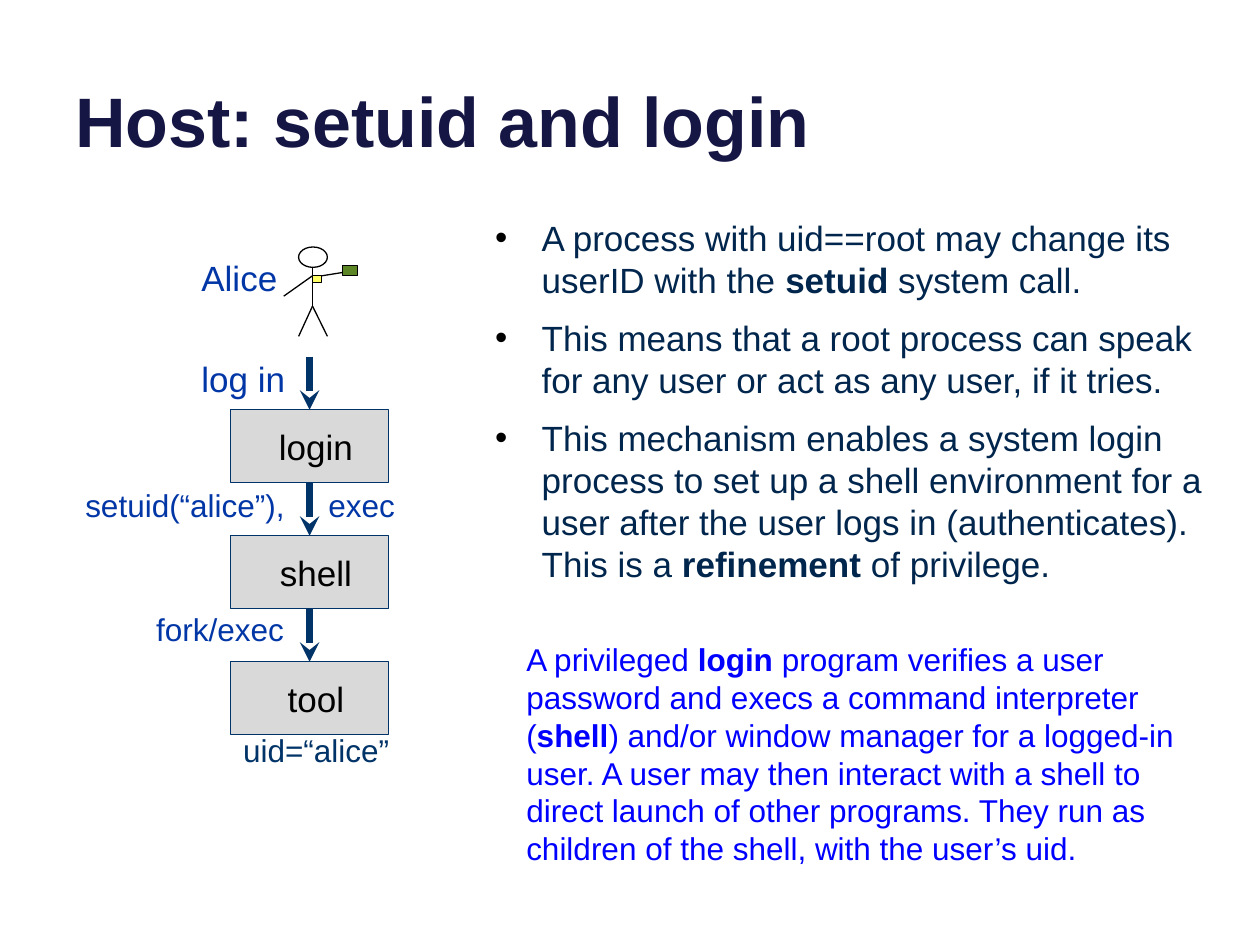
"""Build the slide on host setuid and login."""
from lxml.etree import SubElement
from pptx import Presentation
from pptx.dml.color import RGBColor
from pptx.enum.shapes import MSO_CONNECTOR, MSO_SHAPE
from pptx.enum.text import MSO_ANCHOR, PP_ALIGN
from pptx.oxml.ns import qn
from pptx.util import Cm, Pt

FONT = "Arial"
NAVY, BLUE, BLACK = "003367", "0036A6", "000000"
TITLE = "Host: setuid and login"
POINTS = [
    "A process with uid==root may change its userID with the *setuid* system call.",
    "This means that a root process can speak for any user or act as any user, if it tries.",
    "This mechanism enables a system login process to set up a shell environment for a "
    "user after the user logs in (authenticates). This is a *refinement* of privilege.",
]
NOTE = (
    "A privileged *login* program verifies a user password and execs a command interpreter "
    "(*shell*) and/or window manager for a logged-in user. A user may then interact with a "
    "shell to direct launch of other programs. They run as children of the shell, with the "
    "user’s uid."
)
STEPS = ["login", "shell", "tool"]
LABELS = [
    ("Alice", 3.81, 5.18, 2.34, 20, BLUE),
    ("log in", 3.81, 7.21, 2.34, 20, BLUE),
    ("setuid(“alice”),", 1.47, 9.8, 4.9, 18, BLUE),
    ("exec", 6.37, 9.8, 2.4, 18, BLUE),
    ("fork/exec", 2.9, 12.29, 3.18, 18, BLUE),
    ("uid=“alice”", 4.65, 14.73, 4.65, 18, NAVY),
]
LIMBS = [
    (6.3, 5.38, 6.3, 6.17),
    (6.02, 6.78, 6.3, 6.17),
    (6.6, 6.78, 6.3, 6.17),
    (7.11, 5.46, 6.3, 5.59),
    (5.72, 5.97, 6.3, 5.56),
]
PARTS = [
    (MSO_SHAPE.OVAL, 6.02, 4.98, 0.58, 0.41, None),
    (MSO_SHAPE.RECTANGLE, 6.91, 5.36, 0.3, 0.2, "5C8526"),
    (MSO_SHAPE.RECTANGLE, 6.3, 5.56, 0.18, 0.13, "FFFF66"),
]
LEFT, TOP, WIDE, HIGH, PITCH = 4.65, 8.26, 3.18, 1.47, 2.54
RISE = PITCH - HIGH


def tint(code):
    return RGBColor.from_string(code)


def style(font, size, color):
    font.name, font.size, font.color.rgb = FONT, Pt(size), tint(color)


def write(slide, items, place, size, color):
    box = slide.shapes.add_textbox(*map(Cm, place))
    frame = box.text_frame
    frame.word_wrap = True
    for i, item in enumerate(items):
        para = frame.paragraphs[0] if i == 0 else frame.add_paragraph()
        for j, part in enumerate(item.split("*")):
            run = para.add_run()
            run.text = part
            style(run.font, size, color)
            run.font.bold = j % 2 == 1
    return frame


def dot(para):
    props = para._p.get_or_add_pPr()
    props.set("marL", str(Cm(0.94)))
    props.set("indent", str(-Cm(0.94)))
    hue = SubElement(props, qn("a:buClr"))
    SubElement(hue, qn("a:srgbClr"), val=BLACK)
    SubElement(props, qn("a:buFont"), typeface=FONT)
    SubElement(props, qn("a:buChar"), char="•")


def shape(shapes, kind, place, fill, edge):
    item = shapes.add_shape(kind, *map(Cm, place))
    item.shadow.inherit = False
    if fill:
        item.fill.solid()
        item.fill.fore_color.rgb = tint(fill)
    else:
        item.fill.background()
    item.line.color.rgb = tint(edge)
    item.line.width = Pt(0.75)
    return item


def link(shapes, ends, color, width):
    line = shapes.add_connector(MSO_CONNECTOR.STRAIGHT, *map(Cm, ends))
    line.line.color.rgb = tint(color)
    line.line.width = Pt(width)
    SubElement(line._element.spPr, qn("a:effectLst"))
    return line


def draw_flow(slide):
    last = None
    mid = LEFT + WIDE / 2
    for i, name in enumerate(STEPS):
        top = TOP + i * PITCH
        place = LEFT, top, WIDE, HIGH
        box = shape(slide.shapes, MSO_SHAPE.RECTANGLE, place, "D9D9D9", NAVY)
        frame = box.text_frame
        frame.text = name
        frame.margin_left = Cm(0.51)
        frame.vertical_anchor = MSO_ANCHOR.MIDDLE
        para = frame.paragraphs[0]
        para.alignment = PP_ALIGN.CENTER
        style(para.runs[0].font, 20, BLACK)
        line = link(slide.shapes, (mid, top - RISE, mid, top), NAVY, 3.75)
        SubElement(line.line._get_or_add_ln(), qn("a:tailEnd"), type="stealth")
        if last:
            line.begin_connect(last, 2)
        line.end_connect(box, 0)
        last = box


def draw_user(slide):
    group = slide.shapes.add_group_shape()
    for ends in LIMBS:
        link(group.shapes, ends, BLACK, 0.75)
    for kind, *place, fill in PARTS:
        shape(group.shapes, kind, place, fill, BLACK)


def main():
    deck = Presentation()
    deck.slide_width, deck.slide_height = Cm(25.4), Cm(19.05)
    slide = deck.slides.add_slide(deck.slide_layouts[6])

    head = write(slide, [TITLE], (1.27, -0.94, 22.86, 4.32), 40, "161645")
    head.vertical_anchor = MSO_ANCHOR.BOTTOM
    head.paragraphs[0].runs[0].font.bold = True

    body = write(slide, POINTS, (9.73, 4.24, 15.04, 9.53), 20, "00264D")
    for i, para in enumerate(body.paragraphs):
        dot(para)
        if i:
            para.space_before = Pt(9)

    draw_flow(slide)
    draw_user(slide)
    for text, left, top, wide, size, color in LABELS:
        frame = write(slide, [text], (left, top, wide, 1), size, color)
        frame.paragraphs[0].line_spacing = 0.85
    write(slide, [NOTE], (10.36, 12.78, 14.4, 5.64), 18, "0000FF")
    deck.save("out.pptx")


if __name__ == "__main__":
    main()
